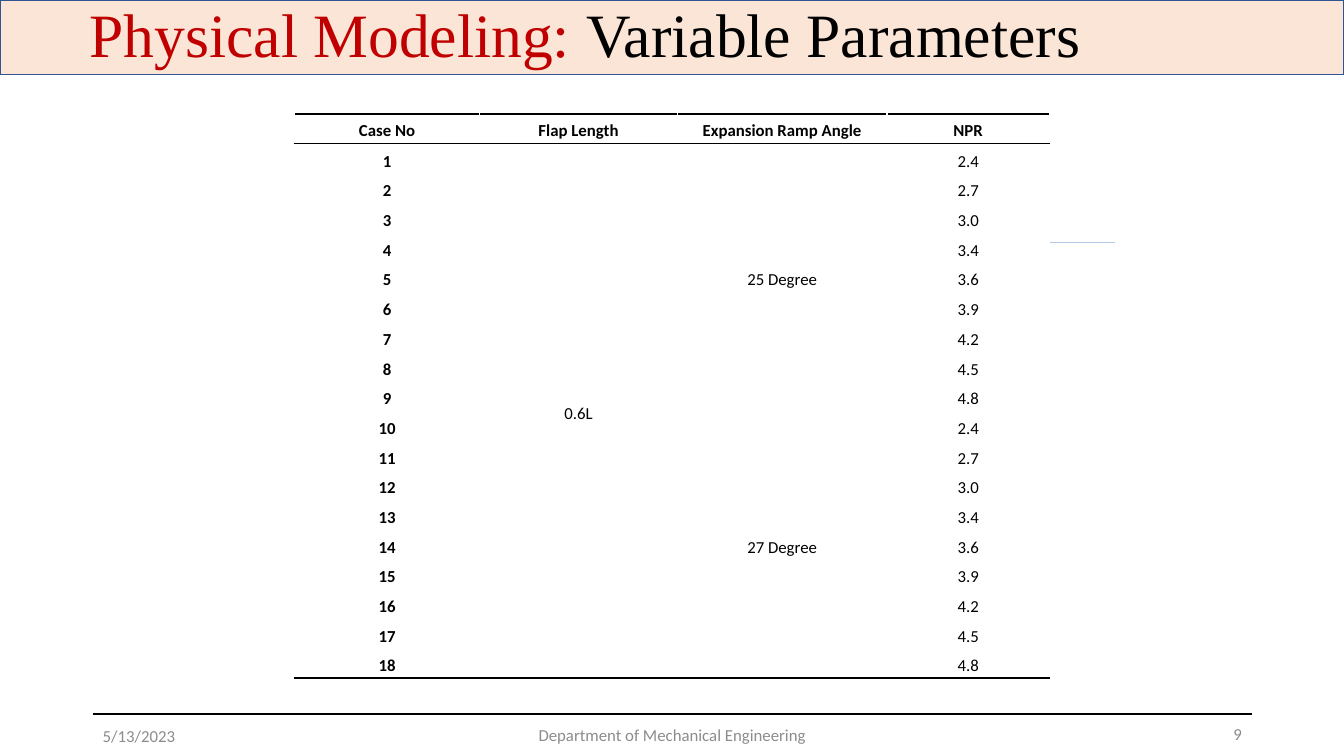
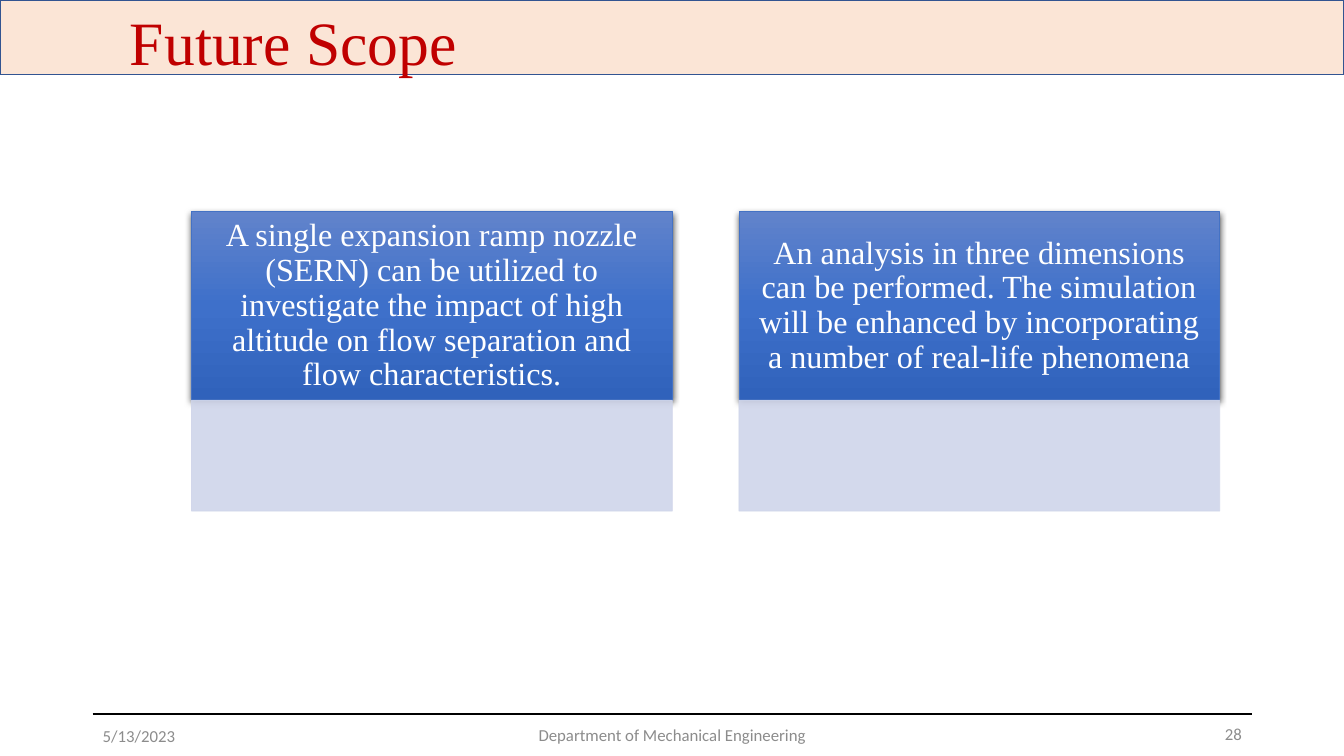
from pptx import Presentation
from pptx.dml.color import RGBColor
from pptx.enum.shapes import MSO_CONNECTOR, MSO_SHAPE
from pptx.enum.text import MSO_ANCHOR, MSO_AUTO_SIZE, PP_ALIGN
from pptx.oxml import parse_xml
from pptx.oxml.ns import nsdecls, qn
from pptx.util import Inches, Pt

BLACK = RGBColor(0x00, 0x00, 0x00)
WHITE = RGBColor(0xFF, 0xFF, 0xFF)
RED = RGBColor(0xC0, 0x00, 0x00)
GREY = RGBColor(0x8C, 0x8C, 0x8C)
PEACH = RGBColor(0xFB, 0xE5, 0xD6)
NAVY = RGBColor(0x32, 0x54, 0x91)
BLUE = RGBColor(0x44, 0x72, 0xC4)
SKY = RGBColor(0xB4, 0xC7, 0xE7)
PALE = RGBColor(0xCF, 0xD5, 0xEA)
SHADES = [(0, RGBColor(0x61, 0x83, 0xCB)), (50, RGBColor(0x3E, 0x70, 0xCA)),
          (100, RGBColor(0x30, 0x62, 0xBB))]
SERIF, SANS = "Times New Roman", "Calibri"

deck = Presentation()
deck.slide_width, deck.slide_height = 12192000, 6858000
COL, ROW = deck.slide_width / 100, deck.slide_height / 100


def grid(x, y, w, h):
    """Turn percent columns and rows into slide lengths."""
    return [round(v * u) for v, u in zip((x, y, w, h), (COL, ROW, COL, ROW))]


def write(para, text, font, size, color, bold=False):
    """Add one run to a paragraph."""
    run = para.add_run()
    run.text = text
    run.font.name, run.font.size, run.font.bold = font, Pt(size), bold
    run.font.color.rgb = color


# Slides, each with its title and footers
layout = deck.slide_layouts[5]
PAGES = [
    ("9", (5.92, -1.2, 75.83, 11.2),
     [("Physical Modeling: ", RED), ("Variable Parameters", BLACK)]),
    ("28", (8.92, -0.13, 75.83, 11.2), [("Future Scope", RED)]),
]
slides = []
for number, place, runs in PAGES:
    slide = deck.slides.add_slide(layout)
    slides.append(slide)
    title = slide.shapes.title
    title.left, title.top, title.width, title.height = grid(*place)
    frame = title.text_frame
    frame.auto_size, frame.word_wrap = MSO_AUTO_SIZE.NONE, True
    frame.vertical_anchor = MSO_ANCHOR.TOP
    para = frame.paragraphs[0]
    para.alignment = PP_ALIGN.LEFT
    for text, color in runs:
        write(para, text, SERIF, 44, color)

    for x, y, w, text, align in [
            (6.9, 94.67, 22.5, "5/13/2023", PP_ALIGN.LEFT),
            (33.15, 94.53, 33.75, "Department of Mechanical Engineering", PP_ALIGN.CENTER),
            (70.65, 94.4, 22.5, number, PP_ALIGN.RIGHT)]:
        foot = slide.shapes.add_textbox(*grid(x, y, w, 5.33)).text_frame
        foot.word_wrap, foot.vertical_anchor = True, MSO_ANCHOR.MIDDLE
        foot.paragraphs[0].alignment = align
        write(foot.paragraphs[0], text, SANS, 12, GREY)

first, second = slides

# Band and rules; the band and the foot rule go to the layout
band = first.shapes.add_shape(MSO_SHAPE.RECTANGLE, *grid(0, 0, 100, 9.87))
band.shadow.inherit = False
band.fill.solid()
band.fill.fore_color.rgb = PEACH
band.line.color.rgb, band.line.width = NAVY, Pt(1)

rules = []
for left, right, y, color, width in [(6.9, 93.15, 94.4, BLACK, 1.25),
                                     (78.08, 82.95, 32, SKY, 0.5)]:
    rule = first.shapes.add_connector(
        MSO_CONNECTOR.STRAIGHT, *grid(left, y, right, y))
    rule.line.color.rgb, rule.line.width = color, Pt(width)
    rule.element.spPr.append(parse_xml(f"<a:effectLst {nsdecls('a')}/>"))
    rules.append(rule)

for spot, part in enumerate([rules[0], band]):
    part.element.xpath(".//p:cNvPr")[0].set("id", str(90 + spot))
    layout.shapes.element.insert(2 + spot, part.element)

# Table of cases
HEADS = ["Case No", "Flap Length", "Expansion Ramp Angle", "NPR"]
RATIOS = ["2.4", "2.7", "3.0", "3.4", "3.6", "3.9", "4.2", "4.5", "4.8"]
WIDTHS = [13.8, 14.7, 15.6, 12.08]
STEP = len(RATIOS)
LAST = 2 * STEP
cells = [HEADS] + [[str(n + 1), "", "", RATIOS[n % STEP]] for n in range(LAST)]
cells[1][1], cells[1][2], cells[1 + STEP][2] = "0.6L", "25 Degree", "27 Degree"

table = first.shapes.add_table(
    LAST + 1, len(HEADS), *grid(21.9, 15.07, sum(WIDTHS), 74.67)).table
table.first_row = table.horz_banding = False
for column, width in zip(table.columns, WIDTHS):
    column.width = round(width * COL)
for row in table.rows:
    row.height = round(74.67 * ROW / (LAST + 1))

for r, line in enumerate(cells):
    for c, text in enumerate(line):
        cell = table.cell(r, c)
        cell.margin_left = cell.margin_right = Inches(0.07)
        cell.margin_top = cell.margin_bottom = 0
        cell.vertical_anchor = MSO_ANCHOR.MIDDLE if r else MSO_ANCHOR.TOP
        cell.fill.solid()
        cell.fill.fore_color.rgb = WHITE
        para = cell.text_frame.paragraphs[0]
        para.alignment, para.line_spacing = PP_ALIGN.CENTER, 1.3
        if text:
            write(para, text, SANS, 12, BLACK, r == 0 or c == 0)
        ends = r in (0, LAST) or text in ("0.6L", "27 Degree")
        edges = {"L": WHITE, "R": WHITE, "T": BLACK if r < 2 else WHITE,
                 "B": BLACK if ends else WHITE}
        props = cell._tc.get_or_add_tcPr()
        for spot, (side, color) in enumerate(edges.items()):
            props.insert(spot, parse_xml(
                f'<a:ln{side} {nsdecls("a")} w="12700"><a:solidFill>'
                f'<a:srgbClr val="{color}"/></a:solidFill></a:ln{side}>'))

for top, end, c in [(1, LAST, 1), (1, STEP, 2), (1 + STEP, LAST, 2)]:
    table.cell(top, c).merge(table.cell(end, c))

# Cards of future work, each over a pale base
CARDS = [
    "A single expansion ramp nozzle (SERN) can be utilized to investigate the "
    "impact of high altitude on flow separation and flow characteristics.",
    "An analysis in three dimensions can be performed. The simulation will be "
    "enhanced by incorporating a number of real-life phenomena",
]
for n, text in enumerate(CARDS):
    x = 14.25 + 40.73 * n
    card = second.shapes.add_shape(MSO_SHAPE.RECTANGLE, *grid(x, 28, 35.78, 24.93))
    base = second.shapes.add_shape(MSO_SHAPE.RECTANGLE, *grid(x, 52.93, 35.78, 14.67))
    for part, color in ((card, BLUE), (base, PALE)):
        part.shadow.inherit = False
        part.line.color.rgb, part.line.width = color, Pt(0.5)

    card.fill.gradient()
    card.fill.gradient_angle = 270
    stops = card.element.spPr.find(".//" + qn("a:gsLst"))
    stops.clear()
    for share, color in SHADES:
        stops.append(parse_xml(
            f'<a:gs {nsdecls("a")} pos="{share * 1000}"><a:srgbClr val="{color}"/></a:gs>'))
    card.element.spPr.find(qn("a:effectLst")).append(parse_xml(
        f'<a:outerShdw {nsdecls("a")} blurRad="{Pt(4.5)}" dist="{Pt(1.5)}" dir="5400000" '
        'algn="ctr" rotWithShape="0"><a:srgbClr val="000000">'
        '<a:alpha val="63000"/></a:srgbClr></a:outerShdw>'))

    base.fill.solid()
    base.fill.fore_color.rgb = PALE
    for tint in base.element.spPr.iter(qn("a:srgbClr")):
        tint.append(parse_xml(f'<a:alpha {nsdecls("a")} val="90000"/>'))

    frame = card.text_frame
    frame.word_wrap, frame.vertical_anchor = True, MSO_ANCHOR.MIDDLE
    frame.margin_left = frame.margin_right = Inches(0.18)
    frame.margin_top = frame.margin_bottom = Inches(0.1)
    para = frame.paragraphs[0]
    para.alignment, para.line_spacing = PP_ALIGN.CENTER, 0.9
    write(para, text, SERIF, 23, WHITE)

deck.save("out.pptx")
